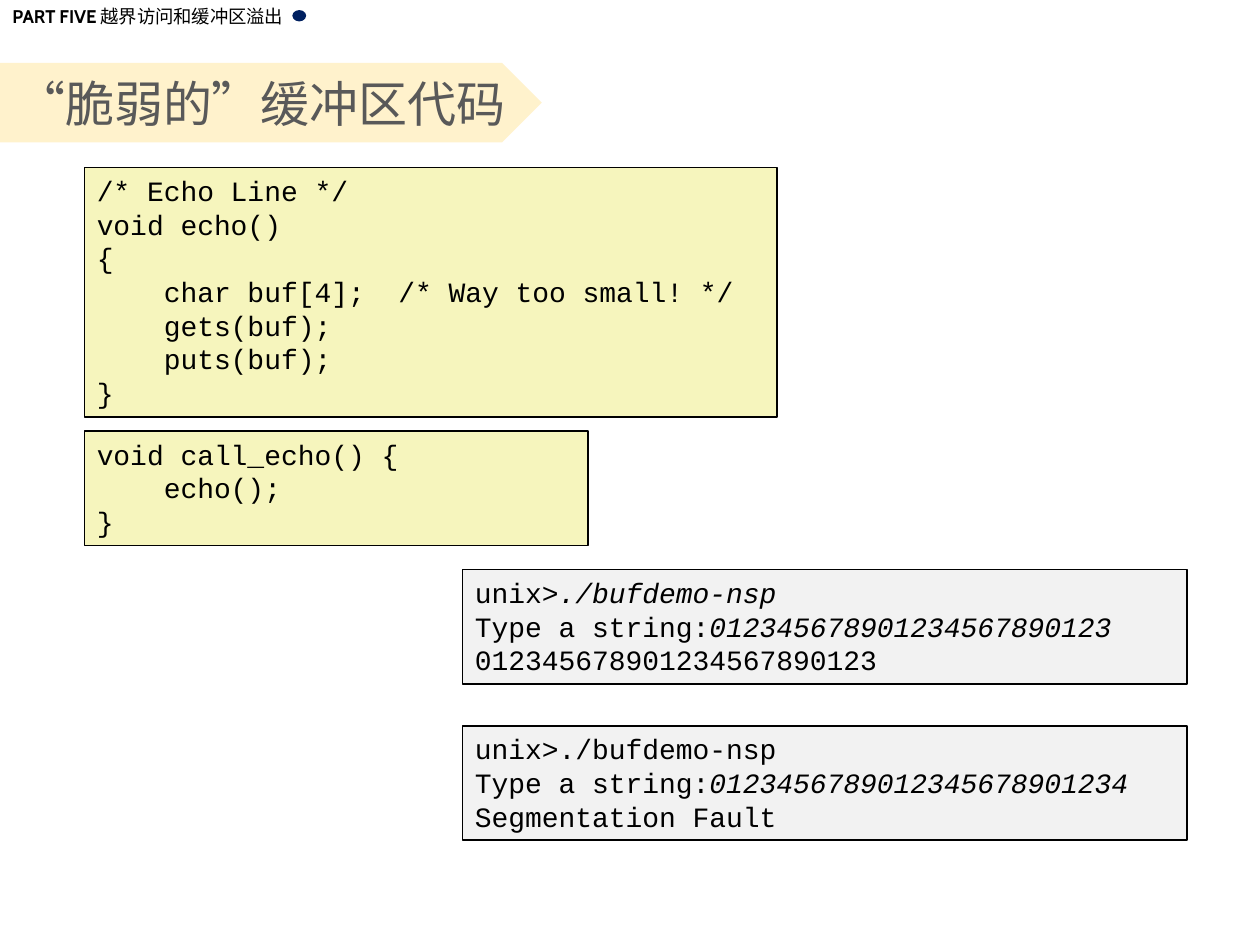
"""Build the slide on buffer code that is open to overflow."""
from lxml import etree
from pptx import Presentation
from pptx.dml.color import RGBColor
from pptx.enum.shapes import MSO_SHAPE
from pptx.enum.text import MSO_ANCHOR, MSO_AUTO_SIZE, PP_ALIGN
from pptx.oxml.ns import qn
from pptx.util import Inches, Pt

RECTANGLE, ELLIPSE, PENTAGON = MSO_SHAPE.RECTANGLE, MSO_SHAPE.OVAL, MSO_SHAPE.PENTAGON
TOP, MIDDLE = MSO_ANCHOR.TOP, MSO_ANCHOR.MIDDLE
LEFT, CENTER = PP_ALIGN.LEFT, PP_ALIGN.CENTER
FIT_SHAPE = MSO_AUTO_SIZE.SHAPE_TO_FIT_TEXT

COLORS = {
    "text": "000000", "title": "595959", "banner": "FFF2CC", "dot": "002060",
    "code": "F6F5BD", "terminal": "F2F2F2", "border": "000000",
}
CJK_FONT = "Noto Sans CJK SC"

prs = Presentation()
prs.slide_width, prs.slide_height = Inches(10), Inches(7.5)
slide = prs.slides.add_slide(prs.slide_layouts[6])


def add_run(paragraph, text, font, size, color="text", **styles):
    run = paragraph.add_run()
    run.text = text
    run.font.color.rgb = RGBColor.from_string(COLORS[color])
    for name, value in {"name": font, "size": Pt(size), **styles}.items():
        setattr(run.font, name, value)
    east_asian = etree.SubElement(run.font._element, qn("a:ea"))
    east_asian.set("typeface", CJK_FONT)


def add_block(kind, left, top, width, height, fill):
    block = slide.shapes.add_shape(
        kind, Inches(left), Inches(top), Inches(width), Inches(height))
    block.shadow.inherit = False
    block.fill.solid()
    block.fill.fore_color.rgb = RGBColor.from_string(COLORS[fill])
    block.line.fill.background()
    return block


section = slide.shapes.add_textbox(Inches(0), Inches(-0.01), Inches(2.41), Inches(0.28))
section.text_frame.word_wrap = False
section.text_frame.auto_size = FIT_SHAPE
section_line = section.text_frame.paragraphs[0]
add_run(section_line, "PART FIVE ", "Cabin", 10.5, bold=True)
add_run(section_line, "越界访问和缓冲区溢出", CJK_FONT, 10.5)
add_block(ELLIPSE, 2.32, 0.08, 0.11, 0.09, "dot")

banner = add_block(PENTAGON, 0, 0.5, 4.3, 0.63, "banner")
banner.text_frame.vertical_anchor = MIDDLE
title = banner.text_frame.paragraphs[0]
title.alignment = CENTER
add_run(title, "“脆弱的”缓冲区代码", "Cabin", 28, "title")

listings = [
    (0.67, 3.42, 4, 0.91, "code", [
        ("void call_echo() {", ""),
        ("    echo();", ""),
        ("}", ""),
    ]),
    (0.67, 1.33, 5.5, 1.98, "code", [
        ("/* Echo Line */", ""),
        ("void echo()", ""),
        ("{", ""),
        ("    char buf[4];  /* Way too small! */", ""),
        ("    gets(buf);", ""),
        ("    puts(buf);", ""),
        ("}", ""),
    ]),
    (3.67, 4.52, 5.75, 0.91, "terminal", [
        ("unix>", "./bufdemo-nsp"),
        ("Type a string:", "012345678901234567890123"),
        ("012345678901234567890123", ""),
    ]),
    (3.67, 5.76, 5.75, 0.91, "terminal", [
        ("unix>./bufdemo-nsp", ""),
        ("Type a string:", "0123456789012345678901234"),
        ("Segmentation Fault", ""),
    ]),
]
for left, top, width, height, fill, lines in listings:
    listing = add_block(RECTANGLE, left, top, width, height, fill)
    listing.line.color.rgb = RGBColor.from_string(COLORS["border"])
    listing.line.width = Pt(1)
    frame = listing.text_frame
    frame.word_wrap = True
    frame.auto_size = FIT_SHAPE
    frame.vertical_anchor = TOP
    for number, (output, typed) in enumerate(lines):
        line = frame.add_paragraph() if number else frame.paragraphs[0]
        line.alignment = LEFT
        add_run(line, output, "Courier New", 16)
        if typed:
            add_run(line, typed, "Courier New", 16, italic=True)

prs.save("out.pptx")
